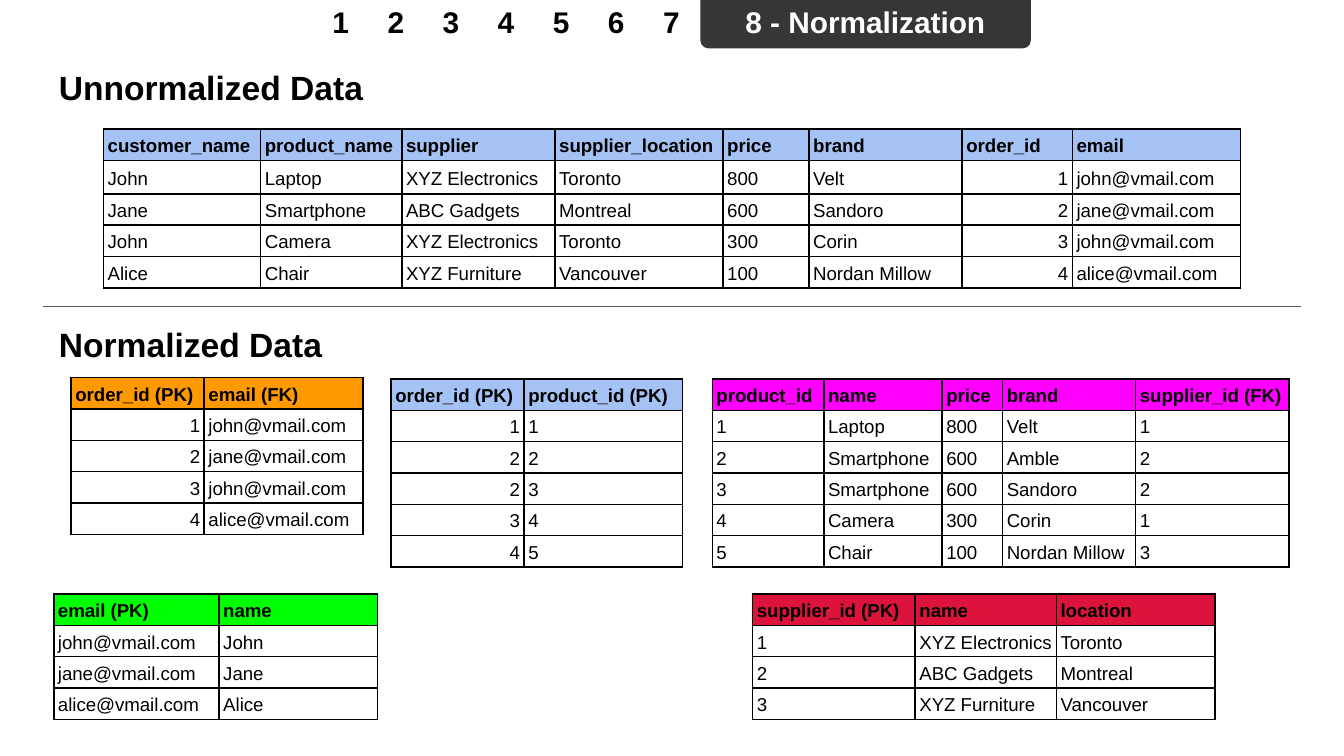
import pptx
import pptx.util
import pptx.dml.color
import pptx.enum.shapes
import pptx.enum.text
import pptx.oxml.ns
import lxml.etree

Inches, Pt = pptx.util.Inches, pptx.util.Pt
RGB = pptx.dml.color.RGBColor.from_string
ALIGN = pptx.enum.text.PP_ALIGN
qn = pptx.oxml.ns.qn

THEME = {
    "font": "Arial", "ink": "000000", "paper": "FFFFFF", "tab": "363636", "rule": "595959",
    "blue": "A4C2F4", "orange": "FF9900", "magenta": "FF00FF", "green": "00FF00", "red": "DC143C",
    "tab_size": 16, "title_size": 18, "cell_size": 10, "border": 0.94, "rule_width": 0.75,
}

PAST_SECTIONS = ["1", "2", "3", "4", "5", "6", "7"]
CURRENT_SECTION = "8 - Normalization"
TITLES = [("Unnormalized Data", 0.4), ("Normalized Data", 2.31)]

# Each table: left, top, header colour, column widths, rows (header first)
TABLES = {
    "orders flat": (0.77, 0.96, "blue", [1.17, 1.05, 1.14, 1.25, 0.64, 1.14, 0.82, 1.25], [
        ("customer_name", "product_name", "supplier", "supplier_location", "price", "brand",
         "order_id", "email"),
        ("John", "Laptop", "XYZ Electronics", "Toronto", "800", "Velt", "1", "john@vmail.com"),
        ("Jane", "Smartphone", "ABC Gadgets", "Montreal", "600", "Sandoro", "2", "jane@vmail.com"),
        ("John", "Camera", "XYZ Electronics", "Toronto", "300", "Corin", "3", "john@vmail.com"),
        ("Alice", "Chair", "XYZ Furniture", "Vancouver", "100", "Nordan Millow", "4",
         "alice@vmail.com"),
    ]),
    "orders": (0.53, 2.81, "orange", [0.99, 1.18], [
        ("order_id (PK)", "email (FK)"),
        ("1", "john@vmail.com"),
        ("2", "jane@vmail.com"),
        ("3", "john@vmail.com"),
        ("4", "alice@vmail.com"),
    ]),
    "order products": (2.91, 2.82, "blue", [0.99, 1.18], [
        ("order_id (PK)", "product_id (PK)"),
        ("1", "1"), ("2", "2"), ("2", "3"), ("3", "4"), ("4", "5"),
    ]),
    "products": (5.3, 2.82, "magenta", [0.83, 0.88, 0.45, 0.99, 1.14], [
        ("product_id", "name", "price", "brand", "supplier_id (FK)"),
        ("1", "Laptop", "800", "Velt", "1"),
        ("2", "Smartphone", "600", "Amble", "2"),
        ("3", "Smartphone", "600", "Sandoro", "2"),
        ("4", "Camera", "300", "Corin", "1"),
        ("5", "Chair", "100", "Nordan Millow", "3"),
    ]),
    "customers": (0.4, 4.42, "green", [1.23, 1.18], [
        ("email (PK)", "name"),
        ("john@vmail.com", "John"),
        ("jane@vmail.com", "Jane"),
        ("alice@vmail.com", "Alice"),
    ]),
    "suppliers": (5.6, 4.42, "red", [1.21, 1.05, 1.18], [
        ("supplier_id (PK)", "name", "location"),
        ("1", "XYZ Electronics", "Toronto"),
        ("2", "ABC Gadgets", "Montreal"),
        ("3", "XYZ Furniture", "Vancouver"),
    ]),
}
ROW_HEIGHT = 0.23
TALL_ROWS = {("orders flat", 1): 0.25}
TAB_LEFT, TAB_TOP, TAB_STEP = 2.33, -0.07, 0.41


def write(tf, text, size, color="ink", bold=True, align=ALIGN.LEFT, spacing=None):
    p = tf.paragraphs[0]
    p.alignment = align
    if spacing:
        p.line_spacing = spacing
    r = p.add_run()
    r.text = text
    r.font.name = THEME["font"]
    r.font.size = Pt(THEME[size])
    r.font.bold = bold
    r.font.color.rgb = RGB(THEME[color])


def add_text(slide, text, left, top, width, height, **fmt):
    tf = slide.shapes.add_textbox(Inches(left), Inches(top), Inches(width), Inches(height)).text_frame
    tf.word_wrap = True
    tf.margin_left = tf.margin_right = tf.margin_top = tf.margin_bottom = Inches(0.1)
    write(tf, text, **fmt)


def add_borders(cell):
    tc_pr = cell._tc.get_or_add_tcPr()
    for side in ("a:lnL", "a:lnR", "a:lnT", "a:lnB"):
        ln = lxml.etree.SubElement(tc_pr, qn(side), w=str(int(Pt(THEME["border"]))))
        fill = lxml.etree.SubElement(ln, qn("a:solidFill"))
        lxml.etree.SubElement(fill, qn("a:srgbClr"), val=THEME["ink"])


def add_data_table(slide, name, left, top, header_color, widths, rows):
    heights = [TALL_ROWS.get((name, i), ROW_HEIGHT) for i in range(len(rows))]
    table = slide.shapes.add_table(len(rows), len(widths), Inches(left), Inches(top),
                                   Inches(sum(widths)), Inches(sum(heights))).table
    table.horz_banding = False
    for column, width in zip(table.columns, widths):
        column.width = Inches(width)
    for i, row in enumerate(rows):
        table.rows[i].height = Inches(heights[i])
        for j, text in enumerate(row):
            is_header = i == 0
            is_number = not is_header and rows[0][j].startswith("order_id")
            cell = table.cell(i, j)
            cell.margin_left = cell.margin_right = Pt(2.25)
            cell.margin_top = cell.margin_bottom = Pt(1.5)
            cell.vertical_anchor = pptx.enum.text.MSO_ANCHOR.MIDDLE
            add_borders(cell)
            if is_header:
                cell.fill.solid()
                cell.fill.fore_color.rgb = RGB(THEME[header_color])
            else:
                cell.fill.background()
            write(cell.text_frame, text, size="cell_size", bold=is_header, spacing=1.15,
                  align=ALIGN.RIGHT if is_number else ALIGN.LEFT)


def add_section_tabs(slide):
    left = TAB_LEFT + TAB_STEP * len(PAST_SECTIONS) + 0.01
    sp = slide.shapes.add_shape(pptx.enum.shapes.MSO_SHAPE.ROUND_2_SAME_RECTANGLE,
                                Inches(left), 0, Inches(2.46), Inches(0.36))
    sp.rotation = 180
    sp.shadow.inherit = False
    sp.fill.solid()
    sp.fill.fore_color.rgb = RGB(THEME["tab"])
    sp.line.fill.background()
    add_text(slide, CURRENT_SECTION, left, TAB_TOP, 2.46, 0.47,
             size="tab_size", color="paper", align=ALIGN.CENTER)
    for i, number in enumerate(PAST_SECTIONS):
        add_text(slide, number, TAB_LEFT + i * TAB_STEP, TAB_TOP, TAB_STEP, 0.42,
                 size="tab_size", align=ALIGN.CENTER)


def add_divider(slide):
    line = slide.shapes.add_connector(pptx.enum.shapes.MSO_CONNECTOR.STRAIGHT,
                                      Inches(0.32), Inches(2.28), Inches(9.68), Inches(2.28))
    line.line.color.rgb = RGB(THEME["rule"])
    line.line.width = Pt(THEME["rule_width"])
    lxml.etree.SubElement(line._element.spPr, qn("a:effectLst"))


def main():
    prs = pptx.Presentation()
    prs.slide_width, prs.slide_height = Inches(10), Inches(10 * 9 / 16)
    slide = prs.slides.add_slide(prs.slide_layouts[6])
    add_section_tabs(slide)
    for title, top in TITLES:
        add_text(slide, title, 0.34, top, 9.32, 0.5, size="title_size")
    add_divider(slide)
    for name, table in TABLES.items():
        add_data_table(slide, name, *table)
    prs.save("out.pptx")


if __name__ == "__main__":
    main()
